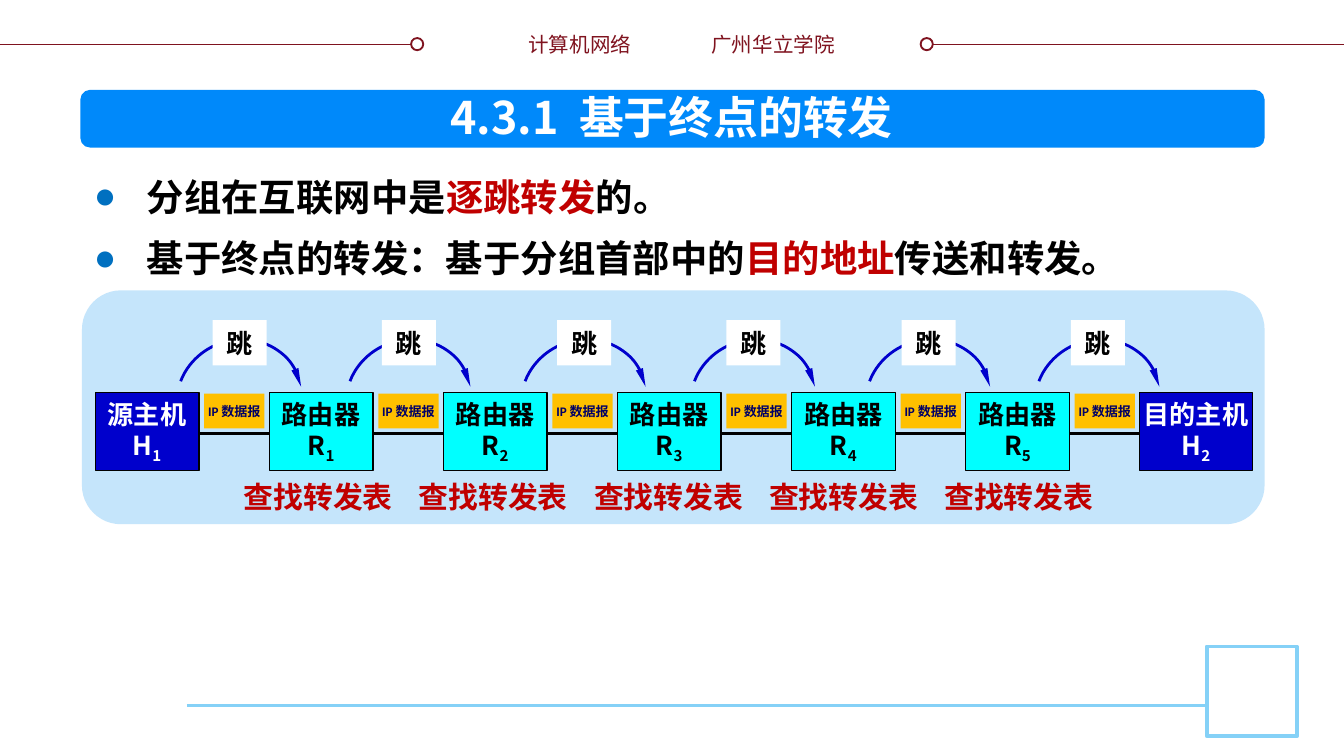
from lxml.etree import SubElement
from pptx import Presentation
from pptx.dml.color import RGBColor
from pptx.enum.shapes import MSO_CONNECTOR, MSO_SHAPE
from pptx.enum.text import MSO_ANCHOR, MSO_AUTO_SIZE, PP_ALIGN
from pptx.oxml.ns import qn
from pptx.util import Cm, Pt

THEME = {
    "font": "Noto Sans CJK SC", "label_font": "Calibri",
    "white": "FFFFFF", "black": "000000", "header": "7F131F", "footer": "85D1F7",
    "title_bar": "0089FA", "panel": "C5E5FB", "bullet": "0070C0", "red": "C00000",
    "host": "0000CC", "router": "00FFFF", "packet": "FFC000", "packet_text": "000066",
    "header_size": 11, "title_size": 24, "body_size": 20, "node_size": 14,
    "packet_size": 7, "lookup_size": 16,
}


def draw_shape(kind, left, top, width, height, fill=None, line=None, weight=1):
    """Add a flat preset shape; lengths in centimetres, colours by theme name."""
    shape = slide.shapes.add_shape(kind, Cm(left), Cm(top), Cm(width), Cm(height))
    shape.shadow.inherit = False
    for target, color in ((shape.fill, fill), (shape.line.fill, line)):
        if color:
            target.solid()
            target.fore_color.rgb = RGBColor.from_string(THEME[color])
        else:
            target.background()
    if line:
        shape.line.width = Pt(weight)
    return shape


def write_text(shape, paragraphs, size, align=PP_ALIGN.CENTER, wrap=False, bold=True,
               font_name="font", spacing=None):
    """Fill a shape with paragraphs, each a list of (text, colour, baseline) runs."""
    frame = shape.text_frame
    frame_format = {"word_wrap": wrap, "auto_size": MSO_AUTO_SIZE.NONE,
                    "vertical_anchor": MSO_ANCHOR.MIDDLE}
    for name, value in frame_format.items():
        setattr(frame, name, value)
    for index, runs in enumerate(paragraphs):
        paragraph = frame.add_paragraph() if index else frame.paragraphs[0]
        paragraph_format = {"alignment": align, "space_before": Pt(0), "line_spacing": spacing}
        for name, value in paragraph_format.items():
            setattr(paragraph, name, value)
        for text, color, baseline in runs:
            run = paragraph.add_run()
            run.text = text
            font_format = {"size": Pt(THEME[size]), "bold": bold, "name": THEME[font_name]}
            for name, value in font_format.items():
                setattr(run.font, name, value)
            run.font.color.rgb = RGBColor.from_string(THEME[color])
            properties = run._r.get_or_add_rPr()
            SubElement(properties, qn("a:ea"), typeface=THEME["font"])
            if baseline:
                properties.set("baseline", str(baseline))


presentation = Presentation()
presentation.slide_width, presentation.slide_height = Cm(25.4), Cm(14.29)
slide = presentation.slides.add_slide(presentation.slide_layouts[1])
title, body = slide.placeholders

# Backgrounds and lines
title_bar = draw_shape(MSO_SHAPE.ROUNDED_RECTANGLE, 1.52, 1.7, 22.38, 1.09, "title_bar")
draw_shape(MSO_SHAPE.ROUNDED_RECTANGLE, 1.55, 5.49, 22.35, 4.42, "panel")
for start, end, height, color, weight in (
    (0, 8, 0.84, "header", 1),
    (17.4, 25.4, 0.84, "header", 1),
    (3.53, 22.81, 13.34, "footer", 1.5),
    (3.23, 22.25, 8.2, "black", 1.5),
):
    connector = slide.shapes.add_connector(
        MSO_CONNECTOR.STRAIGHT, Cm(start), Cm(height), Cm(end), Cm(height))
    connector.line.color.rgb = RGBColor.from_string(THEME[color])
    connector.line.width = Pt(weight)
    SubElement(connector.element.spPr, qn("a:effectLst"))

# Header and footer
for left in (7.77, 17.4):
    draw_shape(MSO_SHAPE.OVAL, left, 0.72, 0.23, 0.23, "white", "header")
draw_shape(MSO_SHAPE.RECTANGLE, 22.81, 12.22, 1.7, 1.7, "white", "footer", 2)
for text, left, width in (("计算机网络", 9.73, 2.46), ("广州华立学院", 13.2, 2.83)):
    header = slide.shapes.add_textbox(Cm(left), Cm(0.46), Cm(width), Cm(0.74))
    write_text(header, [[(text, "header", 0)]], "header_size", bold=False)

# Title and bullet list
title_bar.element.addnext(title.element)
for placeholder, box in ((title, (7.79, 1.57, 9.8, 1.27)), (body, (1.52, 2.82, 22.38, 2.62))):
    for name, value in zip(("left", "top", "width", "height"), box):
        setattr(placeholder, name, Cm(value))
write_text(title, [[("4.3.1  基于终点的转发", "white", 0)]], "title_size")
write_text(body, [
    [("分组在互联网中是", "black", 0), ("逐跳转发", "red", 0), ("的。", "black", 0)],
    [("基于终点的转发：基于分组首部中的", "black", 0), ("目的地址", "red", 0),
     ("传送和转发。", "black", 0)],
], "body_size", PP_ALIGN.LEFT, wrap=True, spacing=Pt(33))
for paragraph in body.text_frame.paragraphs:
    properties = paragraph._p.get_or_add_pPr()
    properties.set("marL", str(Cm(1)))
    properties.set("indent", str(Cm(-1)))
    bullet_color = SubElement(properties, qn("a:buClr"))
    SubElement(bullet_color, qn("a:srgbClr"), val=THEME["bullet"])
    SubElement(properties, qn("a:buChar"), char="●")

# Hosts and routers along the path
node_pitch = 3.29
nodes = [("源主机", "H", 1)]
nodes += [("路由器", "R", number) for number in range(1, 6)]
nodes += [("目的主机", "H", 2)]
for index, (name, letter, number) in enumerate(nodes):
    fill, color = ("host", "white") if letter == "H" else ("router", "black")
    width = 2.13 if name == "目的主机" else 1.96
    node = draw_shape(MSO_SHAPE.RECTANGLE, 1.8 + index * node_pitch, 7.42, width, 1.47,
                      fill, "black", 0.75)
    write_text(node, [[(name, color, 0)], [(letter, color, 0), (str(number), color, -25000)]],
               "node_size")

# One hop and one datagram between each pair of neighbours
for index in range(len(nodes) - 1):
    pair, second = divmod(index, 2)
    left = 3.33 + pair * 6.51 + second * 3.2
    arc = draw_shape(MSO_SHAPE.ARC, left, 6.43, 2.39, 2.24, None, "host", 1.5)
    arc.adjustments[0], arc.adjustments[1] = 132.39, 7.13
    arc.rotation = 336.5
    SubElement(arc.element.spPr.find(qn("a:ln")), qn("a:tailEnd"),
               type="triangle", w="sm", len="lg")
    hop = draw_shape(MSO_SHAPE.RECTANGLE, left + 0.69, 6.05, 1.02, 0.86, "white")
    write_text(hop, [[("跳", "black", 0)]], "node_size")
    packet = draw_shape(MSO_SHAPE.RECTANGLE, 3.86 + index * node_pitch, 7.44, 1.14, 0.66, "packet")
    write_text(packet, [[("IP 数据报", "packet_text", 0)]], "packet_size", font_name="label_font")

# Table lookup under each router
for index in range(5):
    lookup = slide.shapes.add_textbox(Cm(4.34 + index * 3.31), Cm(8.92), Cm(3.35), Cm(0.94))
    write_text(lookup, [[("查找转发表", "red", 0)]], "lookup_size")

presentation.save("out.pptx")
